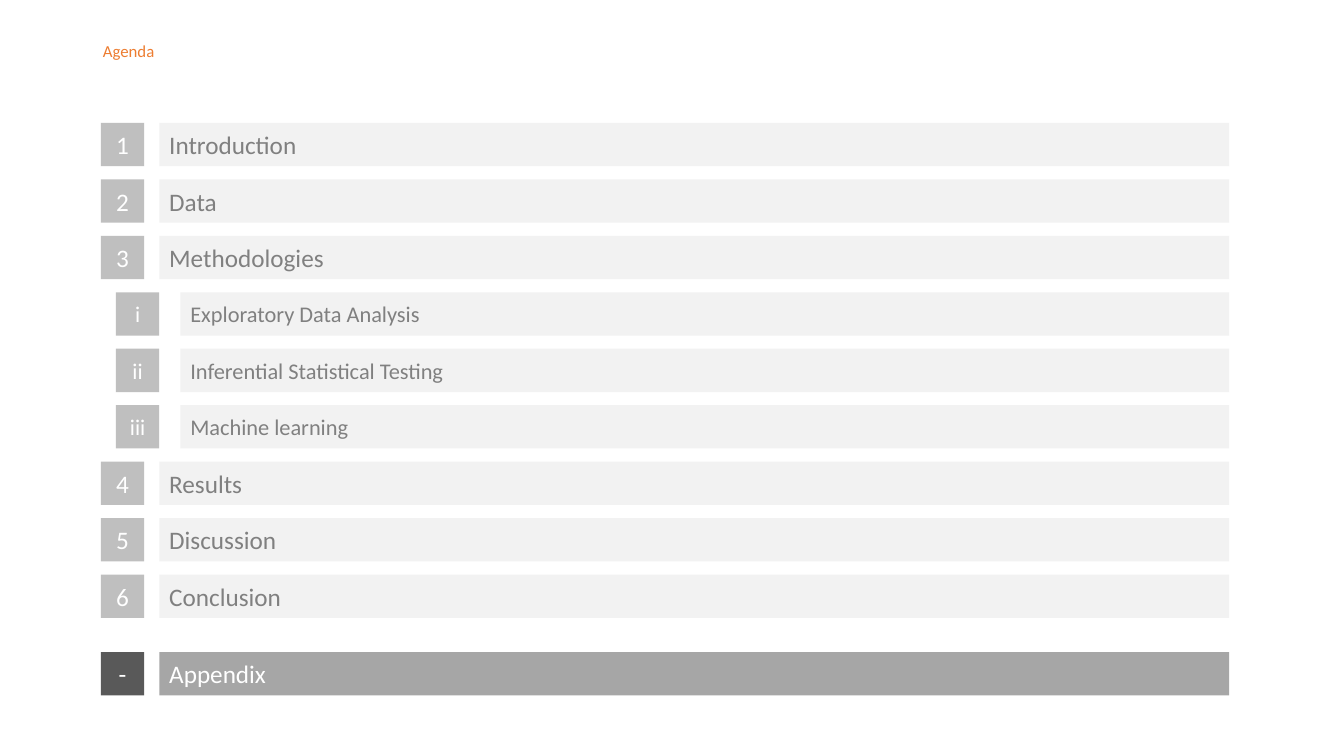
from pptx import Presentation
from pptx.dml.color import RGBColor
from pptx.enum.shapes import MSO_SHAPE
from pptx.enum.text import MSO_ANCHOR, MSO_AUTO_SIZE, PP_ALIGN
from pptx.util import Emu, Pt

RECTANGLE = MSO_SHAPE.RECTANGLE
TOP, MIDDLE = MSO_ANCHOR.TOP, MSO_ANCHOR.MIDDLE
LEFT, CENTER = PP_ALIGN.LEFT, PP_ALIGN.CENTER
NO_AUTOFIT = MSO_AUTO_SIZE.NONE

EMU_PER_PX = 9144
TITLE_ONLY = 5
FIRST_TOP, ROW_PITCH, APPENDIX_TOP = 122, 56, 647
ROW_HEIGHT, RIGHT_EDGE = 43, 1219

SECTION = {"number_left": 100, "bar_left": 158, "size": 18}
SUBSECTION = {"number_left": 115, "bar_left": 179, "size": 16}
MUTED = {"number_fill": "BFBFBF", "bar_fill": "F2F2F2", "bar_text": "808080"}
STRONG = {"number_fill": "595959", "bar_fill": "A6A6A6", "bar_text": "FFFFFF"}

AGENDA = [
    ("1", "Introduction", SECTION),
    ("2", "Data", SECTION),
    ("3", "Methodologies", SECTION),
    ("i", "Exploratory Data Analysis", SUBSECTION),
    ("ii", "Inferential Statistical Testing", SUBSECTION),
    ("iii", "Machine learning", SUBSECTION),
    ("4", "Results", SECTION),
    ("5", "Discussion", SECTION),
    ("6", "Conclusion", SECTION),
]


def px(length):
    """Turn whole pixels into EMU."""
    return Emu(length * EMU_PER_PX)


def color(value):
    """Turn a hex string into a colour."""
    return RGBColor.from_string(value)


def assign(target, values):
    """Set each attribute named in a dict of format values."""
    for name, value in values.items():
        setattr(target, name, value)


class AgendaPage:
    """Hold the text style and the slide that is being drawn."""

    font = "Calibri"

    def __init__(self, deck):
        """Add a title-only slide to the deck."""
        self.page = deck.slides.add_slide(deck.slide_layouts[TITLE_ONLY])

    def label(self, box, text, size, hex_color, align, anchor):
        """Put one formatted line of text in a box."""
        frame = box.text_frame
        frame.text = text
        assign(frame, {"word_wrap": True, "auto_size": NO_AUTOFIT, "vertical_anchor": anchor})
        para = frame.paragraphs[0]
        assign(para, {"alignment": align, "line_spacing": 1.0})
        span = para.runs[0]
        assign(span.font, {"name": self.font, "size": Pt(size)})
        span.font.color.rgb = color(hex_color)

    def title(self, text, left, top, width, height):
        """Place and format the slide title."""
        box = self.page.shapes.title
        assign(box, {"left": px(left), "top": px(top), "width": px(width), "height": px(height)})
        self.label(box, text, 12, "ED7D31", LEFT, TOP)

    def block(self, text, left, top, width, fill, size, hex_color, align):
        """Draw one filled rectangle with its text."""
        box = self.page.shapes.add_shape(
            RECTANGLE, px(left), px(top), px(width), px(ROW_HEIGHT))
        box.shadow.inherit = False
        box.fill.solid()
        box.fill.fore_color.rgb = color(fill)
        box.line.fill.background()
        self.label(box, text, size, hex_color, align, MIDDLE)

    def row(self, number, topic, top, level, tone):
        """Draw a number square and the bar beside it."""
        size, bar_left = level["size"], level["bar_left"]
        self.block(number, level["number_left"], top, ROW_HEIGHT,
                   tone["number_fill"], size, "FFFFFF", CENTER)
        self.block(topic, bar_left, top, RIGHT_EDGE - bar_left,
                   tone["bar_fill"], size, tone["bar_text"], LEFT)


def main():
    """Build the agenda slide and save it."""
    deck = Presentation()
    assign(deck, {"slide_width": px(1333), "slide_height": px(750)})
    agenda = AgendaPage(deck)
    agenda.title("Agenda", 92, 35, 192, 30)
    for index, (number, topic, level) in enumerate(AGENDA):
        agenda.row(number, topic, FIRST_TOP + index * ROW_PITCH, level, MUTED)
    agenda.row("-", "Appendix", APPENDIX_TOP, SECTION, STRONG)
    deck.save("out.pptx")


if __name__ == "__main__":
    main()
